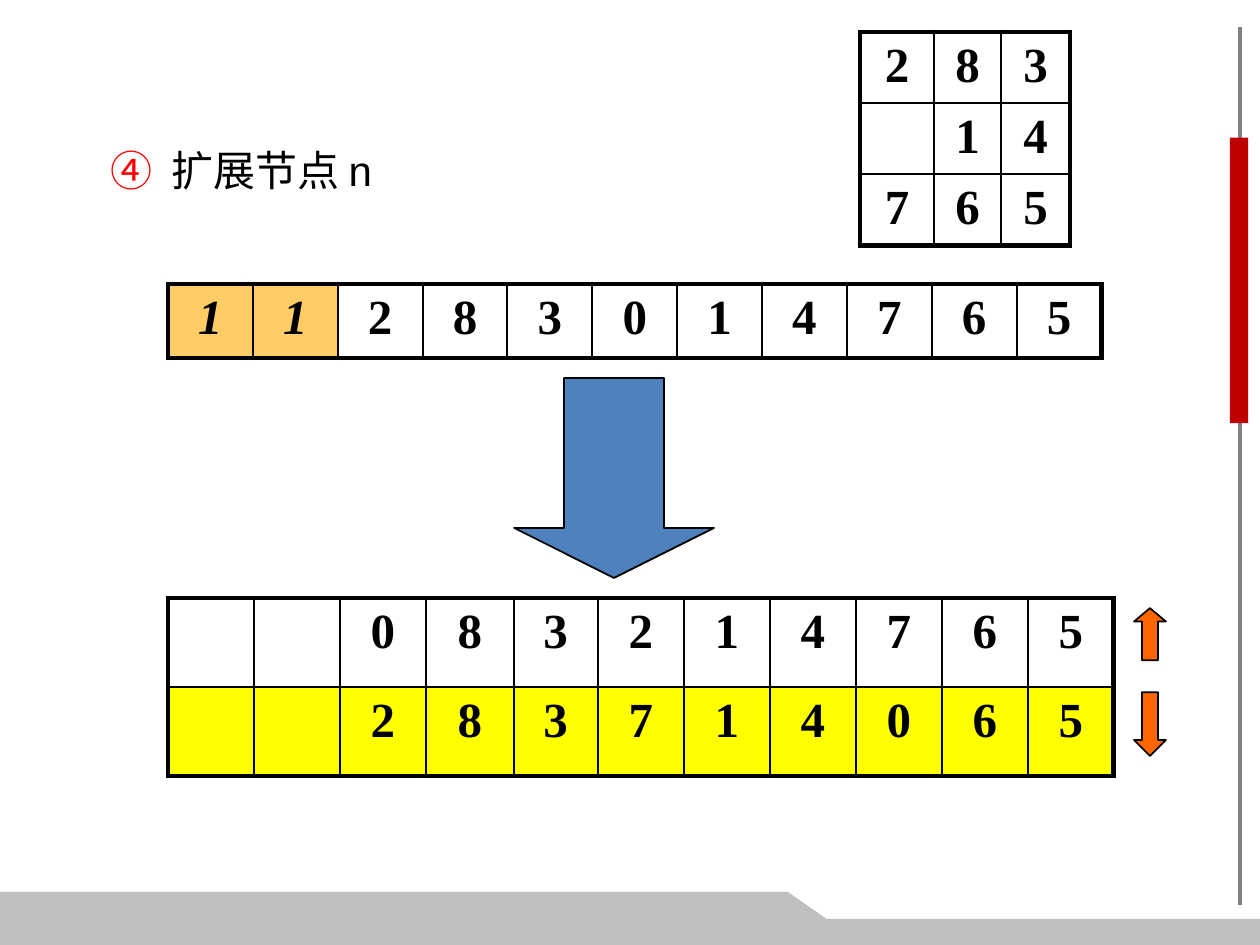
"""Build the slide that expands node n of the eight puzzle."""
from lxml import etree
from pptx import Presentation
from pptx.dml.color import RGBColor
from pptx.enum import shapes, text
from pptx.oxml import ns
from pptx.util import Inches, Pt

BLACK = RGBColor(0, 0, 0)
WHITE = RGBColor(255, 255, 255)
RED = RGBColor(255, 0, 0)
BRICK = RGBColor(0xBF, 0, 0)
GRAY = RGBColor(0x80, 0x80, 0x80)
SILVER = RGBColor(0xBF, 0xBF, 0xBF)
BLUE = RGBColor(0x4F, 0x81, 0xBD)
ORANGE = RGBColor(0xFF, 0x66, 0)
PEACH = RGBColor(0xFF, 0xCC, 0x66)
YELLOW = RGBColor(255, 255, 0)

WIDTH = 7.5
HEIGHT = WIDTH * 3 / 4
HEAD = [("④\t", RED), ("扩展节点 n", BLACK)]
FOOTER = [(0, 5.31), (4.69, 5.31), (4.92, 5.47), (WIDTH, 5.47), (WIDTH, HEIGHT), (0, HEIGHT)]

BOARD = [["2", "8", "3"], ["", "1", "4"], ["7", "6", "5"]]
NODE = [list("11283014765")]
KIDS = [["", ""] + list("083214765"), ["", ""] + list("283714065")]
STEP = 5.63 / 11

# left, top, column widths, row height, rows, row fills, marked columns
TABLES = [
    (1, 3.56, [STEP] * 3 + [STEP + 0.01, STEP - 0.01] + [STEP] * 6, 0.53, KIDS, [WHITE, YELLOW], 0),
    (1, 1.69, [5.56 / 11] * 11, 0.44, NODE, [WHITE], 2),
    (5.12, 0.19, [0.44, 0.4, 0.41], 1.27 / 3, BOARD, [WHITE] * 3, 0),
]

KIND = shapes.MSO_SHAPE
ARROWS = [
    (KIND.DOWN_ARROW, (3.06, 2.25, 1.19, 1.19), 0.25, BLUE),
    (KIND.UP_ARROW, (6.75, 3.62, 0.19, 0.31), 0.42, ORANGE),
    (KIND.DOWN_ARROW, (6.75, 4.12, 0.19, 0.38), 0.5, ORANGE),
]


def paint(shape, fill, line=None):
    """Give a shape its fill and outline."""
    shape.shadow.inherit = False
    shape.fill.solid()
    shape.fill.fore_color.rgb = fill
    if line is None:
        shape.line.fill.background()
    else:
        shape.line.color.rgb = line
        shape.line.width = Pt(0.75)


def add_run(para, words, font, size, color):
    """Add one run and return its font."""
    run = para.add_run()
    run.text = words
    run.font.name = font
    run.font.size = Pt(size)
    run.font.color.rgb = color
    return run.font


def add_edge(cell, side, width):
    """Draw one border of a cell."""
    edge = etree.SubElement(cell._tc.get_or_add_tcPr(), ns.qn("a:ln" + side), w=str(Pt(width)))
    fill = etree.SubElement(edge, ns.qn("a:solidFill"))
    etree.SubElement(fill, ns.qn("a:srgbClr"), val=str(BLACK))


def add_grid(slide, left, top, cols, high, rows, fills, marks):
    """Add a table with a thick frame and thin inner lines."""
    frame = slide.shapes.add_table(len(rows), len(cols), Inches(left), Inches(top),
                                   Inches(sum(cols)), Inches(high * len(rows)))
    table = frame.table
    table.first_row = table.horz_banding = False
    for col, wide in zip(table.columns, cols):
        col.width = Inches(wide)
    for r, (row, fill) in enumerate(zip(rows, fills)):
        table.rows[r].height = Inches(high)
        for c, digit in enumerate(row):
            cell = table.cell(r, c)
            outer = {"L": c == 0, "R": c == len(cols) - 1, "T": r == 0, "B": r == len(rows) - 1}
            for side, thick in outer.items():
                add_edge(cell, side, 2.25 if thick else 1)
            cell.fill.solid()
            cell.fill.fore_color.rgb = PEACH if c < marks else fill
            cell.margin_left = cell.margin_right = Inches(0.07)
            cell.margin_top = cell.margin_bottom = Inches(0.04)
            if digit:
                para = cell.text_frame.paragraphs[0]
                para.alignment = text.PP_ALIGN.CENTER
                font = add_run(para, digit, "Times New Roman", 21, BLACK)
                font.bold = True
                font.italic = c < marks


def add_head(slide):
    """Fill the title placeholder."""
    title = slide.shapes.title
    title.left, title.top, title.width, title.height = map(Inches, (0.56, 0.81, 2.25, 0.4))
    frame = title.text_frame
    frame.word_wrap = True
    frame.auto_size = text.MSO_AUTO_SIZE.NONE
    frame.vertical_anchor = text.MSO_ANCHOR.MIDDLE
    para = frame.paragraphs[0]
    para.alignment = text.PP_ALIGN.LEFT
    tabs = etree.SubElement(para._p.get_or_add_pPr(), ns.qn("a:tabLst"))
    etree.SubElement(tabs, ns.qn("a:tab"), pos=str(Inches(0.36)), algn="l")
    for words, color in HEAD:
        add_run(para, words, "Arial", 18, color)


def add_decor(slide):
    """Draw the side line, the footer band and the side bar."""
    rule = slide.shapes.add_connector(shapes.MSO_CONNECTOR.STRAIGHT, Inches(7.38), Inches(0.16),
                                      Inches(7.38), Inches(5.39))
    rule.line.color.rgb = GRAY
    rule.line.width = Pt(1.5)
    etree.SubElement(rule._element.spPr, ns.qn("a:effectLst"))
    first, *rest = [(Inches(x), Inches(y)) for x, y in FOOTER]
    band = slide.shapes.build_freeform(*first)
    band.add_line_segments(rest, close=True)
    paint(band.convert_to_shape(), SILVER)
    bar = slide.shapes.add_shape(KIND.RECTANGLE, *map(Inches, (7.32, 0.82, 0.11, 1.7)))
    paint(bar, BRICK)


def main():
    """Make the slide and save it."""
    deck = Presentation()
    deck.slide_width, deck.slide_height = Inches(WIDTH), Inches(HEIGHT)
    slide = deck.slides.add_slide(deck.slide_layouts[5])
    add_decor(slide)
    add_head(slide)
    for grid in TABLES:
        add_grid(slide, *grid)
    for kind, box, tip, fill in ARROWS:
        arrow = slide.shapes.add_shape(kind, *map(Inches, box))
        arrow.adjustments[0] = 0.5
        arrow.adjustments[1] = tip
        paint(arrow, fill, BLACK)
    deck.save("out.pptx")


if __name__ == "__main__":
    main()
